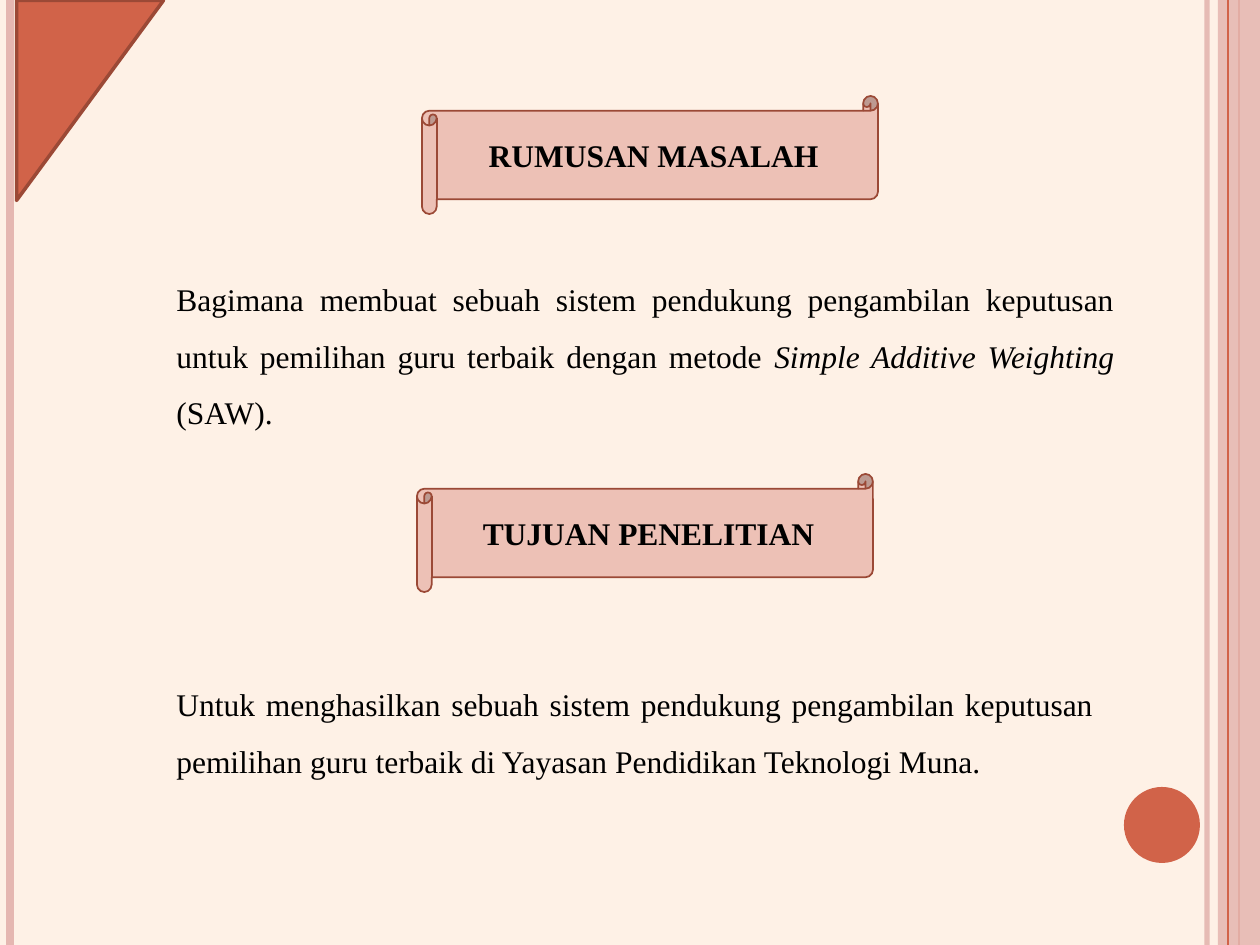
import pptx
import pptx.util
import pptx.dml.color
import pptx.enum.shapes
import pptx.enum.text
import pptx.oxml.ns
import lxml.etree

EMU_PER_PX = 914400 / 126
FONT = "Times New Roman"
ACCENT, DARK, PALE, STRIPE = "D16349", "9B4936", "EDC1B6", "E5B7B1"
SHAPE = pptx.enum.shapes.MSO_SHAPE
ALIGN = pptx.enum.text.PP_ALIGN


def px(n):
    return pptx.util.Emu(round(n * EMU_PER_PX))


def rgb(value):
    return pptx.dml.color.RGBColor.from_string(value)


def paint(fill, color):
    fill.solid()
    fill.fore_color.rgb = rgb(color)


def fade(element, alpha):
    clr = next(element.iter(pptx.oxml.ns.qn("a:srgbClr")))
    lxml.etree.SubElement(clr, pptx.oxml.ns.qn("a:alpha")).set("val", str(alpha * 1000))


class Deck:
    def __init__(self, prs):
        self.prs = prs
        self.s = None

    def slide(self, background):
        self.s = self.prs.slides.add_slide(self.prs.slide_layouts[6])
        paint(self.s.background.fill, background)

    def stripe(self, x, color, width):
        cx = self.s.shapes.add_connector(
            pptx.enum.shapes.MSO_CONNECTOR.STRAIGHT, px(x), 0, px(x), self.prs.slide_height)
        cx.line.color.rgb = rgb(color)
        cx.line.width = pptx.util.Pt(width)
        lxml.etree.SubElement(cx.element.spPr, pptx.oxml.ns.qn("a:effectLst"))
        return cx

    def shape(self, kind, x, y, w, h, fill, line=None, width=1):
        sp = self.s.shapes.add_shape(kind, px(x), px(y), px(w), px(h))
        sp.shadow.inherit = False
        paint(sp.fill, fill)
        if line:
            sp.line.color.rgb = rgb(line)
            sp.line.width = pptx.util.Pt(width)
        else:
            sp.line.fill.background()
        return sp

    def text(self, tf, runs, align, bold=False):
        tf.word_wrap = True
        p = tf.paragraphs[0]
        p.alignment = align
        for text, italic in runs:
            r = p.add_run()
            r.text = text
            r.font.name = FONT
            r.font.size = pptx.util.Pt(18)
            r.font.bold = bold
            r.font.italic = italic
            r.font.color.rgb = rgb("000000")
        return p

    def scroll(self, x, y, text):
        sp = self.shape(SHAPE.HORIZONTAL_SCROLL, x, y, 456, 118, PALE, DARK)
        sp.text_frame.vertical_anchor = pptx.enum.text.MSO_ANCHOR.MIDDLE
        self.text(sp.text_frame, [(text, False)], ALIGN.CENTER, bold=True)

    def body(self, x, y, w, h, runs):
        tf = self.s.shapes.add_textbox(px(x), px(y), px(w), px(h)).text_frame
        p = self.text(tf, runs, ALIGN.JUSTIFY)
        p.line_spacing = 1.5
        tf.auto_size = pptx.enum.text.MSO_AUTO_SIZE.SHAPE_TO_FIT_TEXT


def main():
    prs = pptx.Presentation()
    prs.slide_width, prs.slide_height = px(1260), px(945)
    deck = Deck(prs)
    deck.slide("FEF1E6")

    fade(deck.stripe(1207, STRIPE, 3).element, 93)
    deck.stripe(10, STRIPE, 4.5)
    deck.stripe(1239, ACCENT, 1.5)
    fade(deck.shape(SHAPE.RECTANGLE, 1218, 0, 42, 945, STRIPE).element, 87)
    deck.stripe(1228, ACCENT, 0.75)
    deck.shape(SHAPE.OVAL, 1124, 787, 76, 76, ACCENT)

    deck.scroll(422, 96, "RUMUSAN MASALAH")
    deck.body(164, 255, 963, 184, [
        ("Bagimana membuat sebuah sistem pendukung pengambilan keputusan "
         "untuk pemilihan guru terbaik dengan metode ", False),
        ("Simple Additive Weighting", True),
        (" (SAW).", False),
    ])
    deck.scroll(417, 474, "TUJUAN PENELITIAN")
    deck.body(164, 660, 942, 165, [
        ("Untuk menghasilkan sebuah sistem pendukung pengambilan keputusan "
         "pemilihan guru terbaik di Yayasan Pendidikan Teknologi Muna.", False),
    ])

    corner = deck.shape(SHAPE.RIGHT_TRIANGLE, -10, 27, 200, 147, ACCENT, DARK, 2)
    corner.rotation = 90
    prs.save("out.pptx")


if __name__ == "__main__":
    main()
